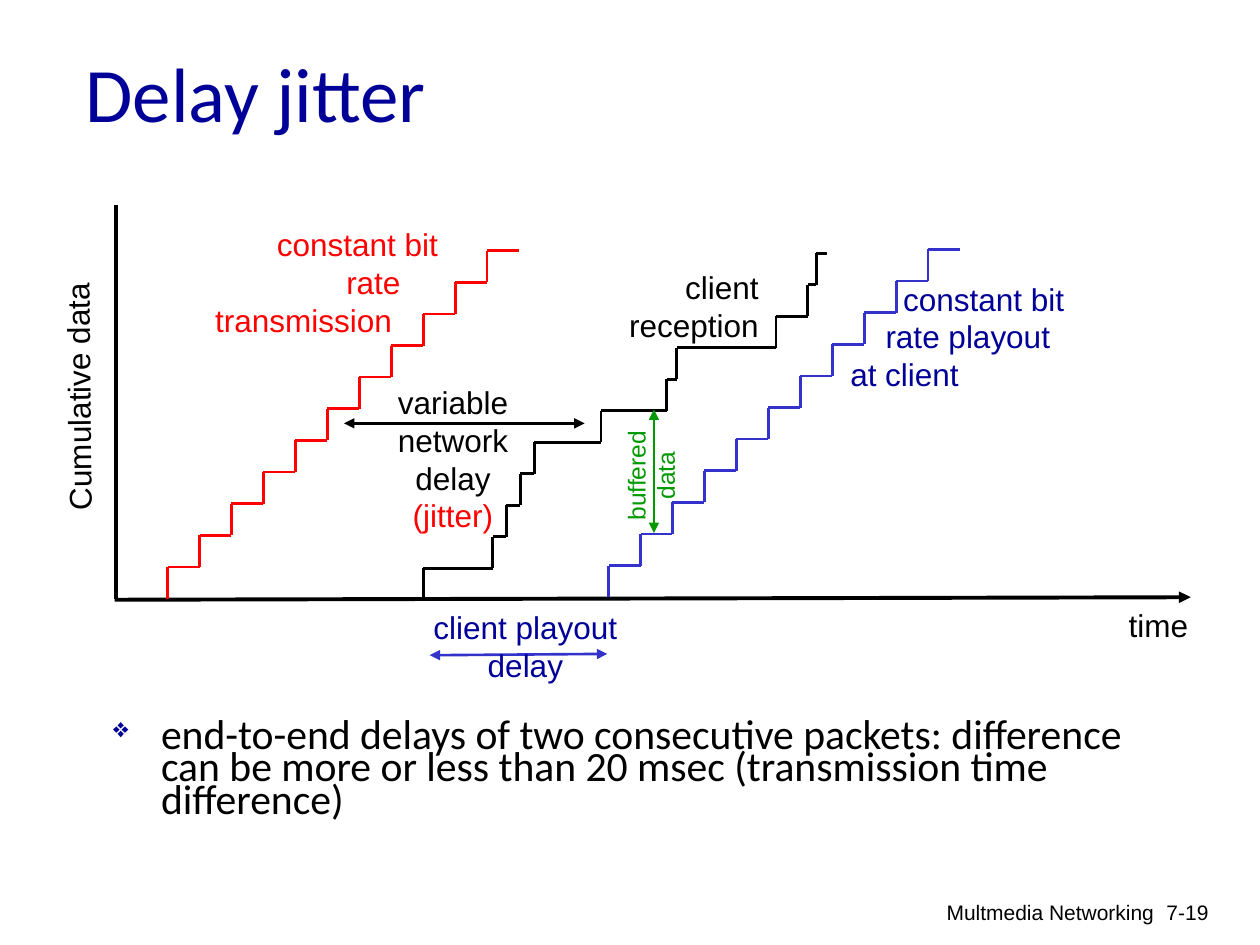
from lxml.etree import SubElement
from pptx import Presentation
from pptx.dml.color import RGBColor
from pptx.enum.shapes import MSO_CONNECTOR as Connector
from pptx.enum.text import MSO_ANCHOR as Anchor, MSO_AUTO_SIZE as AutoSize, PP_ALIGN as Align
from pptx.oxml.ns import qn
from pptx.util import Inches, Pt

BLACK, RED, BLUE, NAVY, GREEN = "000000", "FF0000", "3333CC", "000099", "009900"
LEFT, CENTER, RIGHT = Align.LEFT, Align.CENTER, Align.RIGHT
STEPS = 11


def even_steps(start, end):
    """Return the x positions of equally wide steps."""
    return [start + (end - start) * i / STEPS for i in range(STEPS + 1)]


RECEPTION = [3.36, 3.91, 4.02, 4.13, 4.24, 4.77, 5.29, 5.37, 6.16, 6.41, 6.48, 6.56]
STAIRCASES = [
    (even_steps(1.33, 4.12), 4.75, 1.99, RED),
    (RECEPTION, 4.76, 2.01, BLACK),
    (even_steps(4.83, 7.62), 4.74, 1.98, BLUE),
]
AXES = [
    ((0.92, 1.63), (0.92, 4.75), ()),
    ((9.45, 4.74), (0.91, 4.76), ("headEnd",)),
]
SPANS = [
    ((2.73, 3.36), (4.64, 3.36), BLACK),
    ((3.41, 5.2), (4.82, 5.19), BLUE),
    ((5.19, 4.23), (5.19, 3.25), GREEN),
]
WRAPPED_LABELS = [
    ((1.61, 1.74, 2.03, 1), ["constant bit", "rate", "transmission"], 18, RED, LEFT, 0),
    ((-0.45, 2.88, 2.14, 0.4), ["Cumulative data"], 18, BLACK, LEFT, 269.4),
    ((2.99, 2.99, 1.21, 1.3), ["variable", "network", "delay", "(jitter)"], 18, BLACK, CENTER, 0),
    ((6.58, 2.17, 2.03, 1), ["constant bit", "rate playout", "at client"], 18, NAVY, LEFT, 0),
    ((3.25, 4.78, 1.84, 0.7), ["client playout", "delay"], 18, NAVY, CENTER, 0),
    ((6.09, 7.09, 3.17, 0.5), ["Multmedia Networking"], 12, BLACK, RIGHT, 0),
    ((8.95, 7.09, 0.74, 0.5), ["7-19"], 12, BLACK, RIGHT, 0),
]
TIGHT_LABELS = [
    ((8.86, 4.76, 0.67, 0.4), ["time"], 18, BLACK, LEFT, 0),
    ((4.89, 2.08, 1.23, 0.7), ["client", "reception"], 18, BLACK, RIGHT, 0),
    ((4.71, 3.49, 0.91, 0.57), ["buffered", "data"], 14, GREEN, CENTER, 270),
]
INDENTS = {"constant bit": 0.49, "rate": 1.04, "rate playout": 0.35, "at client": 0.07}
ACCENTS = {"(jitter)": RED}
TITLE = "Delay jitter"
BODY = ("end-to-end delays of two consecutive packets: difference can be more or less "
        "than 20 msec (transmission time difference)")


def color(value):
    """Turn a hex string into a colour."""
    return RGBColor.from_string(value)


def add_line(page, start, end, ink, width=1.5, arrows=()):
    """Draw a straight line with optional arrowheads."""
    line = page.shapes.add_connector(Connector.STRAIGHT, *map(Inches, start + end))
    line.line.color.rgb = color(ink)
    line.line.width = Pt(width)
    outline = line.line._get_or_add_ln()
    for arrow in arrows:
        SubElement(outline, qn("a:" + arrow), type="triangle")
    SubElement(line._element.spPr, qn("a:effectLst"))


def add_staircase(page, edges, bottom, top, ink):
    """Draw equal rises at the given x positions."""
    rise = (bottom - top) / STEPS
    for i, (left, right) in enumerate(zip(edges, edges[1:])):
        low, high = bottom - i * rise, bottom - (i + 1) * rise
        add_line(page, (left, high), (left, low), ink)
        add_line(page, (right, high), (left, high), ink)


def add_text(page, place, lines, size, ink, align=LEFT, angle=0, wrap=True, face="Arial"):
    """Add a text box with one paragraph per line."""
    box = page.shapes.add_textbox(*map(Inches, place))
    box.rotation = angle
    frame = box.text_frame
    frame.word_wrap = wrap
    frame.auto_size = AutoSize.NONE if wrap else AutoSize.SHAPE_TO_FIT_TEXT
    frame.text = "\n".join(lines)
    for para in frame.paragraphs:
        para.alignment = align
        para.font.name = face
        para.font.size = Pt(size)
        para.font.color.rgb = color(ACCENTS.get(para.text, ink))
        if para.text in INDENTS:
            para._p.get_or_add_pPr().set("marL", str(Inches(INDENTS[para.text])))
    return frame


def add_body(page):
    """Add the bulleted statement below the diagram."""
    frame = add_text(page, (0.8, 5.69, 8.5, 0.97), [BODY], 23.8, BLACK, face="Calibri")
    para = frame.paragraphs[0]
    para.line_spacing = 0.65
    para.space_before = Pt(7)
    props = para._p.get_or_add_pPr()
    props.set("marL", str(Inches(0.38)))
    props.set("indent", str(Inches(-0.38)))
    bullet_ink = SubElement(props, qn("a:buClr"))
    SubElement(bullet_ink, qn("a:srgbClr"), val=NAVY)
    SubElement(props, qn("a:buSzPct"), val="65000")
    SubElement(props, qn("a:buChar"), char="❖")
    props.append(props.find(qn("a:defRPr")))


def main():
    """Build the delay jitter slide."""
    deck = Presentation()
    deck.slide_width, deck.slide_height = Inches(10), Inches(7.5)
    page = deck.slides.add_slide(deck.slide_layouts[6])
    for start, end, arrows in AXES:
        add_line(page, start, end, BLACK, 2.25, arrows)
    for staircase in STAIRCASES:
        add_staircase(page, *staircase)
    for start, end, ink in SPANS:
        add_line(page, start, end, ink, arrows=("headEnd", "tailEnd"))
    for label in WRAPPED_LABELS:
        add_text(page, *label)
    for label in TIGHT_LABELS:
        add_text(page, *label, wrap=False)
    title = add_text(page, (0.58, 0.25, 8.93, 0.95), [TITLE], 44, NAVY, face="Calibri")
    title.vertical_anchor = Anchor.MIDDLE
    add_body(page)
    deck.save("out.pptx")


if __name__ == "__main__":
    main()
